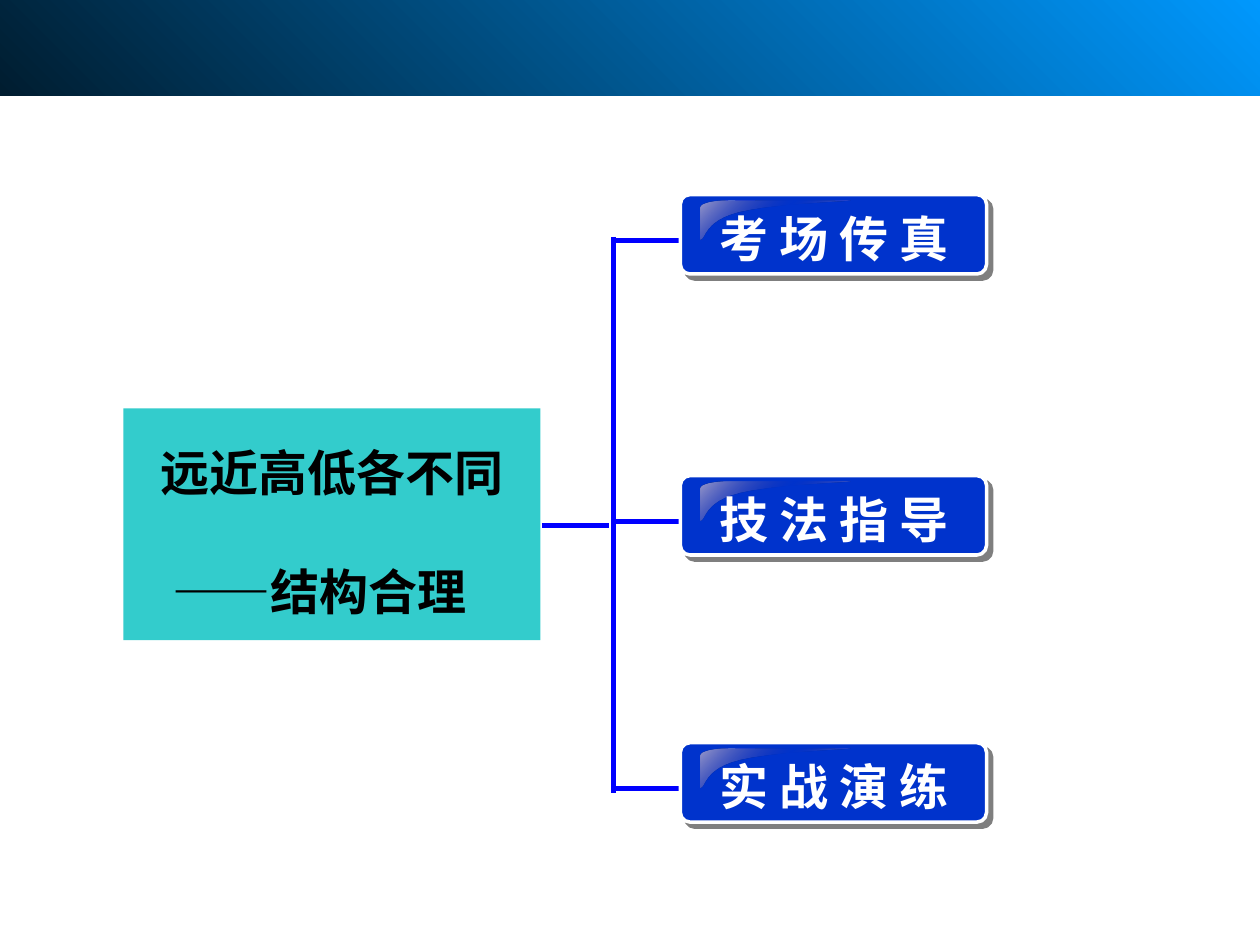
from dataclasses import dataclass

from lxml import etree
from pptx import Presentation
from pptx.dml.color import RGBColor
from pptx.enum.shapes import MSO_CONNECTOR, MSO_SHAPE
from pptx.enum.text import MSO_ANCHOR, MSO_AUTO_SIZE, PP_ALIGN
from pptx.oxml import parse_xml
from pptx.oxml.ns import nsdecls, qn
from pptx.util import Inches, Pt

STRAIGHT = MSO_CONNECTOR.STRAIGHT
RECTANGLE, ROUNDED = MSO_SHAPE.RECTANGLE, MSO_SHAPE.ROUNDED_RECTANGLE
TOP, MIDDLE = MSO_ANCHOR.TOP, MSO_ANCHOR.MIDDLE
LEFT, CENTER = PP_ALIGN.LEFT, PP_ALIGN.CENTER
NO_FIT = MSO_AUTO_SIZE.NONE

COLUMNS, ROWS = 100, 75
CELL = Inches(0.1)
TRUNK_COLUMN, LABEL_COLUMN = 48.7, 54
TOPICS = [("考 场 传 真", 19.1), ("技 法 指 导", 41.4), ("实 战 演 练", 62.6)]
GLOSS_CURVES = [
    ((2.4, 0), (1.1, 0), (0, 0.2), (0, 0.6)),
    ((0, 3.1), (0.5, 3.1), (0.2, 1.6), (3.2, 0.9)),
    ((3.2, 0.9), (6.3, 0.2), (12.1, 0.1), (11.9, 0)),
]


@dataclass(frozen=True)
class Theme:
    font: str = "Times New Roman"
    text_size: int = 28
    title_text: str = "000000"
    title_fill: str = "33CCCC"
    label_text: str = "FFFFFF"
    label_fill: str = "0033CC"
    label_edge: str = "FFFFFF"
    branch: str = "0000FF"
    branch_width: int = 3
    edge_width: int = 2
    band: tuple = ((0, "0099FF", 100), (100, "001D30", 100))
    gloss: tuple = ((0, "9B9BCC", 100), (50, "333399", 0), (100, "9B9BCC", 100))


THEME = Theme()


def grid(*cells):
    return [round(cell * CELL) for cell in cells]


def paint(fill, color):
    fill.solid()
    fill.fore_color.rgb = RGBColor.from_string(color)


def paint_gradient(shape, stops, angle):
    shape.fill.background()
    stop_xml = "".join(
        f'<a:gs pos="{position * 1000}"><a:srgbClr val="{color}">'
        f'<a:alpha val="{opacity * 1000}"/></a:srgbClr></a:gs>'
        for position, color, opacity in stops
    )
    gradient = parse_xml(
        f'<a:gradFill {nsdecls("a")} rotWithShape="1"><a:gsLst>{stop_xml}</a:gsLst>'
        f'<a:lin ang="{angle * 60000}" scaled="0"/></a:gradFill>'
    )
    properties = shape.element.spPr
    properties.replace(properties.find(qn("a:noFill")), gradient)
    shape.line.fill.background()
    shape.shadow.inherit = False


def drop_shadow(shape):
    shape.shadow.inherit = False
    effects = shape.element.spPr.find(qn("a:effectLst"))
    effects.append(parse_xml(
        f'<a:outerShdw {nsdecls("a")} dist="{Pt(4.2)}" dir="2700000" algn="ctr" rotWithShape="0">'
        '<a:srgbClr val="000000"><a:alpha val="50000"/></a:srgbClr></a:outerShdw>'
    ))


def set_frame(frame, anchor, top, bottom):
    frame.word_wrap = True
    frame.auto_size = NO_FIT
    frame.vertical_anchor = anchor
    frame.margin_left = frame.margin_right = Inches(0.1)
    frame.margin_top, frame.margin_bottom = Inches(top), Inches(bottom)


def write(paragraph, text, color, alignment):
    paragraph.alignment = alignment
    run = paragraph.add_run()
    run.text = text
    run.font.name = THEME.font
    run.font.size = Pt(THEME.text_size)
    run.font.bold = True
    run.font.color.rgb = RGBColor.from_string(color)


def add_band(slide):
    band = slide.shapes.add_shape(RECTANGLE, *grid(0, -1.1, COLUMNS, 8.7))
    paint_gradient(band, THEME.band, 135)


def fill_title(slide):
    title = slide.shapes.title
    title.left, title.top, title.width, title.height = grid(9.8, 32.4, 33.1, 18.4)
    paint(title.fill, THEME.title_fill)
    frame = title.text_frame
    set_frame(frame, TOP, 0.04, 0.16)
    heading, subheading = frame.paragraphs[0], frame.add_paragraph()
    write(heading, "远近高低各不同", THEME.title_text, CENTER)
    write(subheading, "——结构合理", THEME.title_text, LEFT)
    heading.line_spacing = subheading.line_spacing = 1.5
    subheading.space_before = Pt(17.5)
    subheading._p.get_or_add_pPr().set("marL", str(Inches(0.29)))


def add_branch(slide, *ends):
    branch = slide.shapes.add_connector(STRAIGHT, *grid(*ends))
    branch.line.width = Pt(THEME.branch_width)
    branch.line.color.rgb = RGBColor.from_string(THEME.branch)
    etree.SubElement(branch.element.spPr, qn("a:effectLst"))


def curve_points(curve, steps=12):
    weights = (1, 3, 3, 1)
    for step in range(steps + 1):
        t = step / steps
        yield tuple(
            sum(w * (1 - t) ** (3 - i) * t ** i * point[axis]
                for i, (w, point) in enumerate(zip(weights, curve)))
            for axis in (0, 1)
        )


def add_gloss(slide, column, row):
    points = [
        grid(column + x, row + y)
        for curve in GLOSS_CURVES for x, y in curve_points(curve)
    ]
    outline = slide.shapes.build_freeform(*points[0])
    outline.add_line_segments(points[1:], close=True)
    paint_gradient(outline.convert_to_shape(), THEME.gloss, 225)


def add_topic(slide, text, row):
    add_branch(slide, TRUNK_COLUMN, row, LABEL_COLUMN, row)
    plate = slide.shapes.add_shape(ROUNDED, *grid(LABEL_COLUMN, row - 3.65, 24.3, 6.3))
    plate.adjustments[0] = 0.12
    paint(plate.fill, THEME.label_fill)
    paint(plate.line.fill, THEME.label_edge)
    plate.line.width = Pt(THEME.edge_width)
    drop_shadow(plate)
    add_gloss(slide, LABEL_COLUMN + 1.6, row - 3.2)
    label = slide.shapes.add_textbox(*grid(LABEL_COLUMN + 2.1, row - 3.1, 41.1, 5.7))
    set_frame(label.text_frame, MIDDLE, 0.05, 0.05)
    write(label.text_frame.paragraphs[0], text, THEME.label_text, LEFT)


def main():
    deck = Presentation()
    deck.slide_width, deck.slide_height = grid(COLUMNS, ROWS)
    slide = deck.slides.add_slide(deck.slide_layouts[5])
    add_band(slide)
    fill_title(slide)
    add_branch(slide, 43, 41.7, 48.3, 41.7)
    add_branch(slide, TRUNK_COLUMN, 18.8, TRUNK_COLUMN, 62.9)
    for text, row in TOPICS:
        add_topic(slide, text, row)
    deck.save("out.pptx")


if __name__ == "__main__":
    main()
